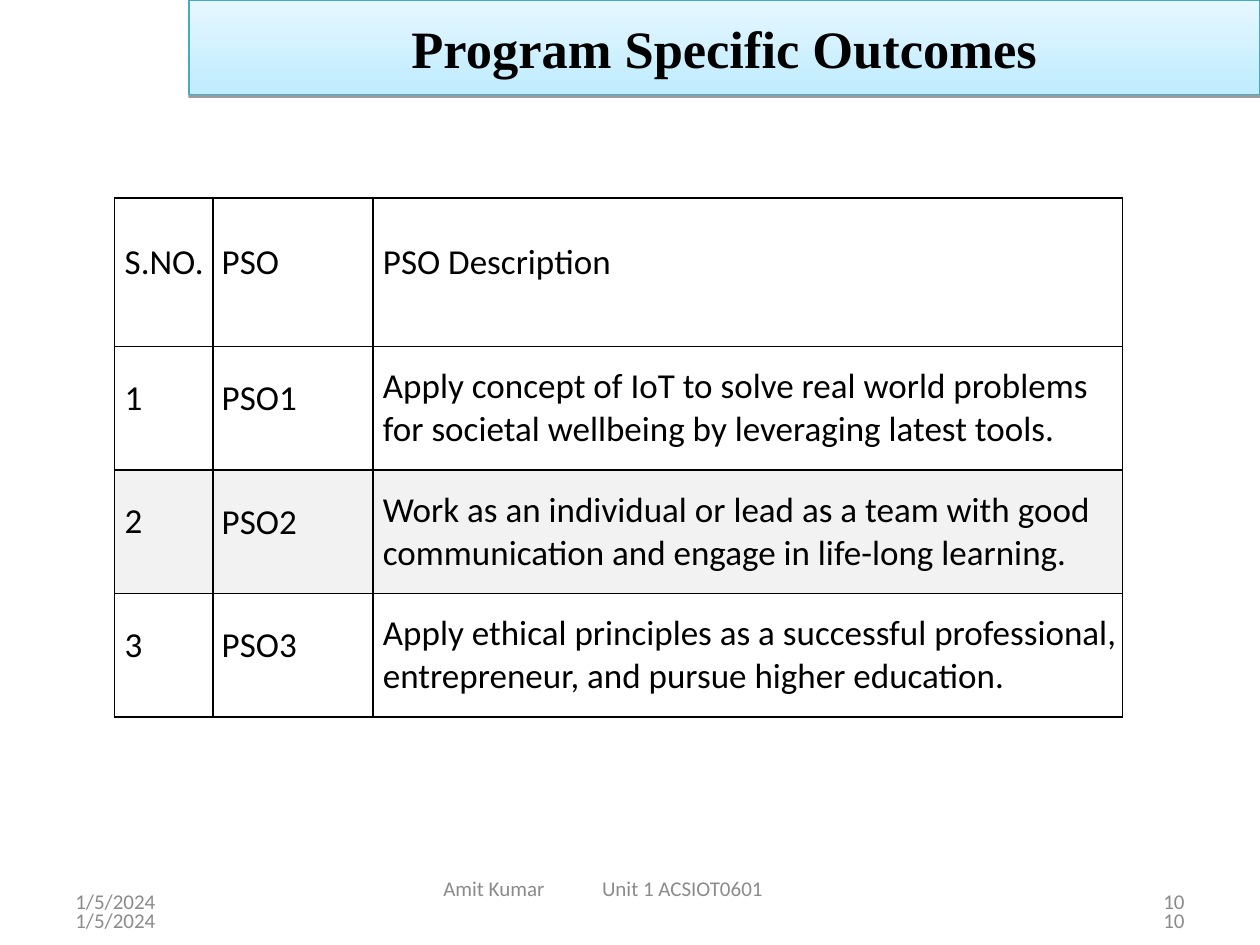
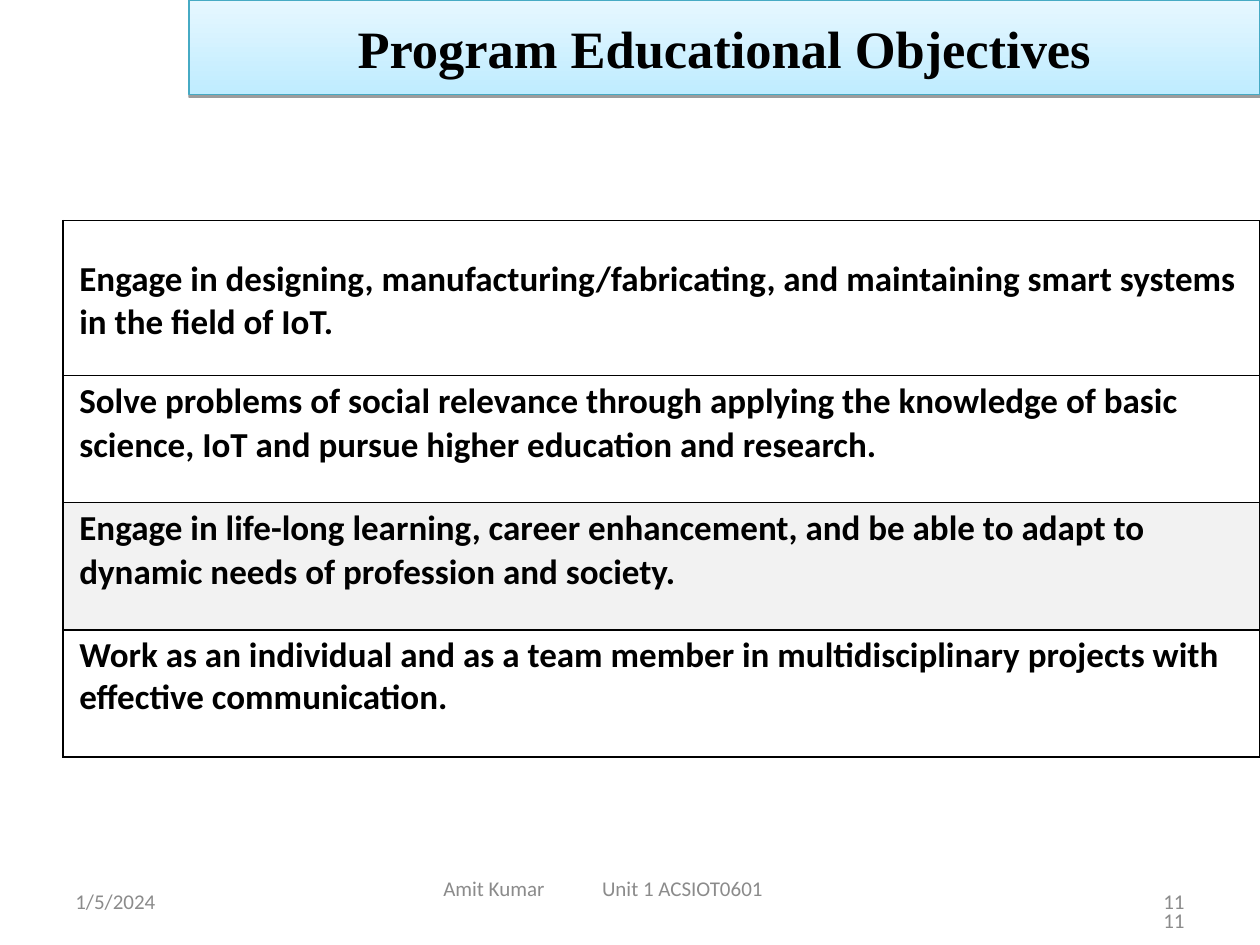
from dataclasses import dataclass

from lxml import etree
from pptx import Presentation
from pptx.dml.color import RGBColor as RGB
from pptx.enum.shapes import MSO_SHAPE as Shape
from pptx.enum.text import MSO_ANCHOR as Anchor, PP_ALIGN as Align
from pptx.oxml import parse_xml
from pptx.oxml.ns import nsdecls, qn
from pptx.util import Pt

PX = 9144  # EMU in one px, 100 px to the inch


@dataclass(frozen=True)
class Theme:
    ink: str = "000000"
    muted: str = "8B8B8B"
    shade: str = "F2F2F2"
    edge: str = "46AAC4"
    low: str = "BFECFF"
    high: str = "E6F7FF"
    head: str = "Times New Roman"
    body: str = "Calibri"
    title: int = 30
    text: int = 20
    small: int = 12


T = Theme()


def px(*nums):
    return [n * PX for n in nums]


def write(para, text, size, color, face=T.body, bold=False, align=Align.LEFT):
    para.text = text
    para.alignment = align
    font = para.font
    font.name, font.size, font.bold = face, Pt(size), bold
    font.color.rgb = RGB.from_string(color)


# Title band with gradient and a thin drop shadow
def band(slide, text):
    box = slide.shapes.add_shape(Shape.RECTANGLE, *px(150, 0, 850, 75))
    box.fill.gradient()
    box.fill.gradient_angle = 90
    for stop, color, pos in zip(box.fill.gradient_stops, (T.low, T.high), (0, 1)):
        stop.color.rgb = RGB.from_string(color)
        stop.position = pos
    box.line.color.rgb = RGB.from_string(T.edge)
    box.line.width = Pt(0.75)
    box.shadow.inherit = False
    box._element.spPr.find(qn("a:effectLst")).append(parse_xml(
        f'<a:outerShdw {nsdecls("a")} blurRad="0" dist="{Pt(1.6)}" dir="5400000" '
        'rotWithShape="0"><a:srgbClr val="000000"><a:alpha val="38000"/>'
        '</a:srgbClr></a:outerShdw>'))
    frame = box.text_frame
    frame.vertical_anchor = Anchor.MIDDLE
    write(frame.paragraphs[0], text, T.title, T.ink, T.head, True, Align.CENTER)


# Footer parts
def note(slide, text, left, top, width=233, align=Align.LEFT, tab=None):
    box = slide.shapes.add_textbox(*px(left, top, width, 40))
    frame = box.text_frame
    frame.word_wrap = True
    frame.vertical_anchor = Anchor.MIDDLE
    para = frame.paragraphs[0]
    if tab:
        frame.vertical_anchor = Anchor.TOP
        frame.margin_top = 0
        tabs = etree.SubElement(para._p.get_or_add_pPr(), qn("a:tabLst"))
        etree.SubElement(tabs, qn("a:tab"), pos=str(tab * PX), algn="l")
    write(para, text, T.small, T.muted, align=align)


def footer(slide, page, dates):
    for top in dates:
        note(slide, "1/5/2024", 50, top)
    for top in (695, 710):
        note(slide, page, 717, top, align=Align.RIGHT)
    note(slide, "Amit Kumar\tUnit 1 ACSIOT0601", 342, 695, 317, tab=126)


# Tables
def border(cell):
    props = cell._tc.get_or_add_tcPr()
    for side in ("lnL", "lnR", "lnT", "lnB"):
        props.append(parse_xml(
            f'<a:{side} {nsdecls("a")} w="{Pt(1)}"><a:solidFill>'
            f'<a:srgbClr val="{T.ink}"/></a:solidFill></a:{side}>'))


def grid(slide, left, top, cols, rows, shaded):
    area = px(left, top, sum(cols), sum(rows))
    table = slide.shapes.add_table(len(rows), len(cols), *area).table
    table.first_row = table.horz_banding = False
    for col, width in zip(table.columns, cols):
        col.width = width * PX
    for r, (row, height) in enumerate(zip(table.rows, rows)):
        row.height = height * PX
        for cell in row.cells:
            border(cell)
            if r == shaded:
                cell.fill.solid()
                cell.fill.fore_color.rgb = RGB.from_string(T.shade)
            else:
                cell.fill.background()
    return table


def fill(cell, text, inset, anchor, space=None, bold=False):
    (cell.margin_left, cell.margin_top,
     cell.margin_right, cell.margin_bottom) = px(*inset)
    cell.vertical_anchor = anchor
    para = cell.text_frame.paragraphs[0]
    para.line_spacing = space
    write(para, text, T.text, T.ink, bold=bold)


def outcomes(slide):
    rows = [
        ("S.NO.", "PSO", "PSO Description"),
        ("1", "PSO1", "Apply concept of IoT to solve real world problems "
         "for societal wellbeing by leveraging latest tools."),
        ("2", "PSO2", "Work as an individual or lead as a team with good "
         "communication and engage in life-long learning."),
        ("3", "PSO3", "Apply ethical principles as a successful professional, "
         "entrepreneur, and pursue higher education."),
    ]
    table = grid(slide, 91, 157, (78, 127, 595), (118, 98, 98, 98), 2)
    for r, row in enumerate(rows):
        last = Pt(13.8) if r == 0 else 1.02 if r == 2 else None
        spaces = (Pt(13.4), Pt(13.8), last)
        for c, (text, left, space) in enumerate(zip(row, (8, 7, 8), spaces)):
            fill(table.cell(r, c), text, (left, 11, 0, 11), Anchor.MIDDLE, space)


def goals(slide):
    rows = [
        "Engage in designing, manufacturing/fabricating, and maintaining "
        "smart systems in the field of IoT.",
        "Solve problems of social relevance through applying the knowledge of "
        "basic science, IoT and pursue higher education and research.",
        "Engage in life-long learning, career enhancement, and be able to "
        "adapt to dynamic needs of profession and society.",
        "Work as an individual and as a team member in multidisciplinary "
        "projects with effective communication.",
    ]
    table = grid(slide, 50, 175, (950,), (123, 101, 101, 101), 2)
    spaces = (1.01, 1.02, 1.02, None)
    for r, (text, space) in enumerate(zip(rows, spaces)):
        anchor = Anchor.TOP if r else Anchor.BOTTOM
        fill(table.cell(r, 0), text, (13, 3, 0, 25), anchor, space, True)


def main():
    deck = Presentation()
    deck.slide_width, deck.slide_height = px(1000, 750)
    pages = [
        ("Program Specific Outcomes", outcomes, "10", (695, 710)),
        ("Program Educational Objectives", goals, "11", (695,)),
    ]
    for title, body, page, dates in pages:
        slide = deck.slides.add_slide(deck.slide_layouts[6])
        band(slide, title)
        body(slide)
        footer(slide, page, dates)
    deck.save("out.pptx")


if __name__ == "__main__":
    main()
